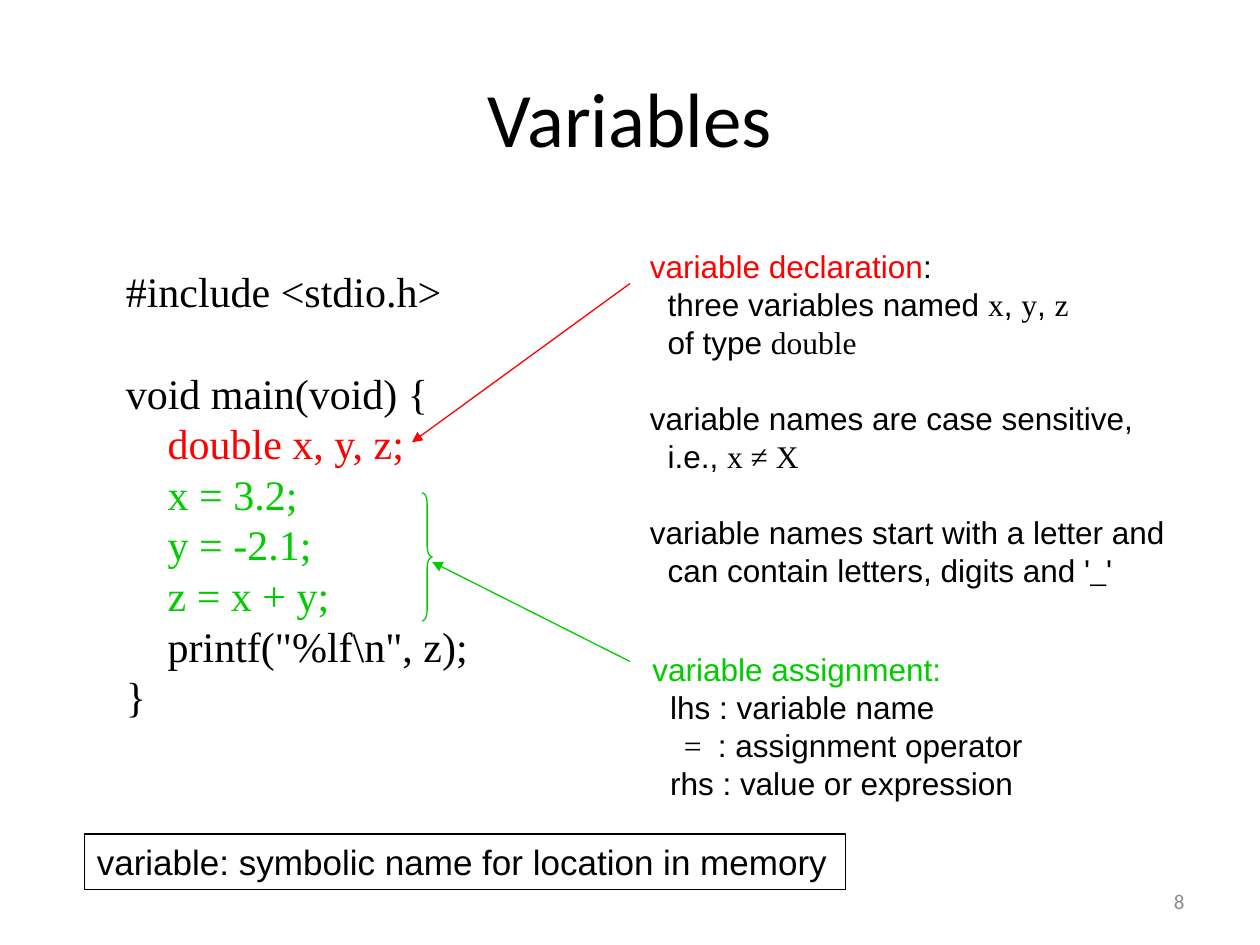
"""Build a slide that explains variables in C."""
from lxml.etree import SubElement as Sub
from pptx import Presentation
from pptx.dml.color import RGBColor as Rgb
from pptx.enum.shapes import MSO_CONNECTOR as Link, MSO_SHAPE as Kind
from pptx.enum.text import MSO_ANCHOR as Anchor, PP_ALIGN as Align
from pptx.oxml.ns import qn
from pptx.util import Inches, Pt

HUE = {"ink": "000000", "red": "FF0000", "green": "00CC00", "gray": "8C8C8C"}
SANS, SERIF, HEAD = "Arial", "Times New Roman", "Calibri"
STEP, TABS = 0.14, (0.25, 0.52)

# Each line: (indent level, blank lines above, runs of (text, font, hue))
CODE = [
    (0, 0, [("#include <stdio.h>", SERIF, "ink")]),
    (0, 1, [("void main(void) {", SERIF, "ink")]),
    (0, 0, [("    double x, y, z;", SERIF, "red")]),
    (0, 0, [("    x = 3.2;", SERIF, "green")]),
    (0, 0, [("    y = -2.1;", SERIF, "green")]),
    (0, 0, [("    z = x + y;", SERIF, "green")]),
    (0, 0, [('    printf("%lf\\n", z);', SERIF, "ink")]),
    (0, 0, [("}", SERIF, "ink")]),
]
RULES = [
    (0, 0, [("variable declaration", SANS, "red"), (":", SANS, "ink")]),
    (1, 0, [("three variables named ", SANS, "ink"), ("x", SERIF, "ink"),
            (", ", SANS, "ink"), ("y", SERIF, "ink"),
            (", ", SANS, "ink"), ("z", SERIF, "ink")]),
    (1, 0, [("of type ", SANS, "ink"), ("double", SERIF, "ink")]),
    (0, 1, [("variable names are case sensitive,", SANS, "ink")]),
    (1, 0, [("i.e., ", SANS, "ink"), ("x ≠ X", SERIF, "ink")]),
    (0, 1, [("variable names start with a letter and", SANS, "ink")]),
    (1, 0, [("can contain letters, digits and '", SANS, "ink"),
            ("_", SERIF, "ink"), ("'", SANS, "ink")]),
]
ASSIGN = [
    (0, 0, [("variable assignment:", SANS, "green")]),
    (1, 0, [("lhs : variable name", SANS, "ink")]),
    (0, 0, [("\t=\t", SERIF, "ink"), (": assignment operator", SANS, "ink")]),
    (1, 0, [("rhs : value or expression", SANS, "ink")]),
]
TITLE = [(0, 0, [("Variables", HEAD, "ink")])]
NOTE = [(0, 0, [("variable: symbolic name for location in memory", SANS, "ink")])]
PAGE = [(0, 0, [("8", HEAD, "gray")])]

# Each block: (place, lines, size, line pitch, alignment, anchor)
BLOCKS = [
    ((0.5, 0.3, 9, 1.25), TITLE, 44, None, Align.CENTER, Anchor.MIDDLE),
    ((0.9, 2.06, 2.94, 3.74), CODE, 24, 28.9, Align.LEFT, Anchor.TOP),
    ((5.06, 1.91, 4.35, 3.1), RULES, 18, 21.7, Align.LEFT, Anchor.TOP),
    ((5.08, 5.11, 3.27, 1.3), ASSIGN, 18, 21.7, Align.LEFT, Anchor.TOP),
    ((7.17, 6.95, 2.33, 0.4), PAGE, 12, None, Align.RIGHT, Anchor.MIDDLE),
]
FRAME = (0.67, 6.62, 6.04, 0.44)
BRACE = (3.35, 3.91, 0.08, 1.02)
ARROWS = [((5, 2.25, 3.27, 3.51), "red"), ((5, 5.25, 3.43, 4.46), "green")]


def tint(name):
    return Rgb.from_string(HUE[name])


def write(shape, lines, size, pitch, align, anchor):
    frame = shape.text_frame
    frame.word_wrap = True
    frame.vertical_anchor = anchor
    for i, (level, gap, runs) in enumerate(lines):
        para = frame.add_paragraph() if i else frame.paragraphs[0]
        para.alignment = align
        if pitch:
            para.line_spacing = Pt(pitch)
        if gap:
            para.space_before = Pt(gap * pitch)
        props = para._p.get_or_add_pPr()
        if level:
            props.set("marL", str(Inches(level * STEP)))
            props.set("indent", "0")
        if "\t" in runs[0][0]:
            stops = Sub(props, qn("a:tabLst"))
            for stop in TABS:
                Sub(stops, qn("a:tab"), pos=str(Inches(stop)), algn="l")
        for text, face, hue in runs:
            run = para.add_run()
            run.text = text
            run.font.name = face
            run.font.size = Pt(size)
            run.font.color.rgb = tint(hue)


def stroke(shape, hue):
    shape.line.color.rgb = tint(hue)
    shape.line.width = Pt(0.75)


def outline(slide, kind, place, hue):
    shape = slide.shapes.add_shape(kind, *map(Inches, place))
    shape.shadow.inherit = False
    shape.fill.background()
    stroke(shape, hue)
    return shape


def arrow(slide, ends, hue):
    line = slide.shapes.add_connector(Link.STRAIGHT, *map(Inches, ends))
    stroke(line, hue)
    Sub(line.line._get_or_add_ln(), qn("a:tailEnd"), type="triangle")
    Sub(line._element.spPr, qn("a:effectLst"))


def main():
    deck = Presentation()
    deck.slide_width, deck.slide_height = Inches(10), Inches(7.5)
    slide = deck.slides.add_slide(deck.slide_layouts[6])
    for place, *rest in BLOCKS:
        write(slide.shapes.add_textbox(*map(Inches, place)), *rest)
    for ends, hue in ARROWS:
        arrow(slide, ends, hue)
    brace = outline(slide, Kind.RIGHT_BRACE, BRACE, "green")
    brace.adjustments[0] = 1.09
    brace.adjustments[1] = 0.5
    note = outline(slide, Kind.RECTANGLE, FRAME, "ink")
    write(note, NOTE, 20, 24, Align.LEFT, Anchor.TOP)
    deck.save("out.pptx")


if __name__ == "__main__":
    main()
